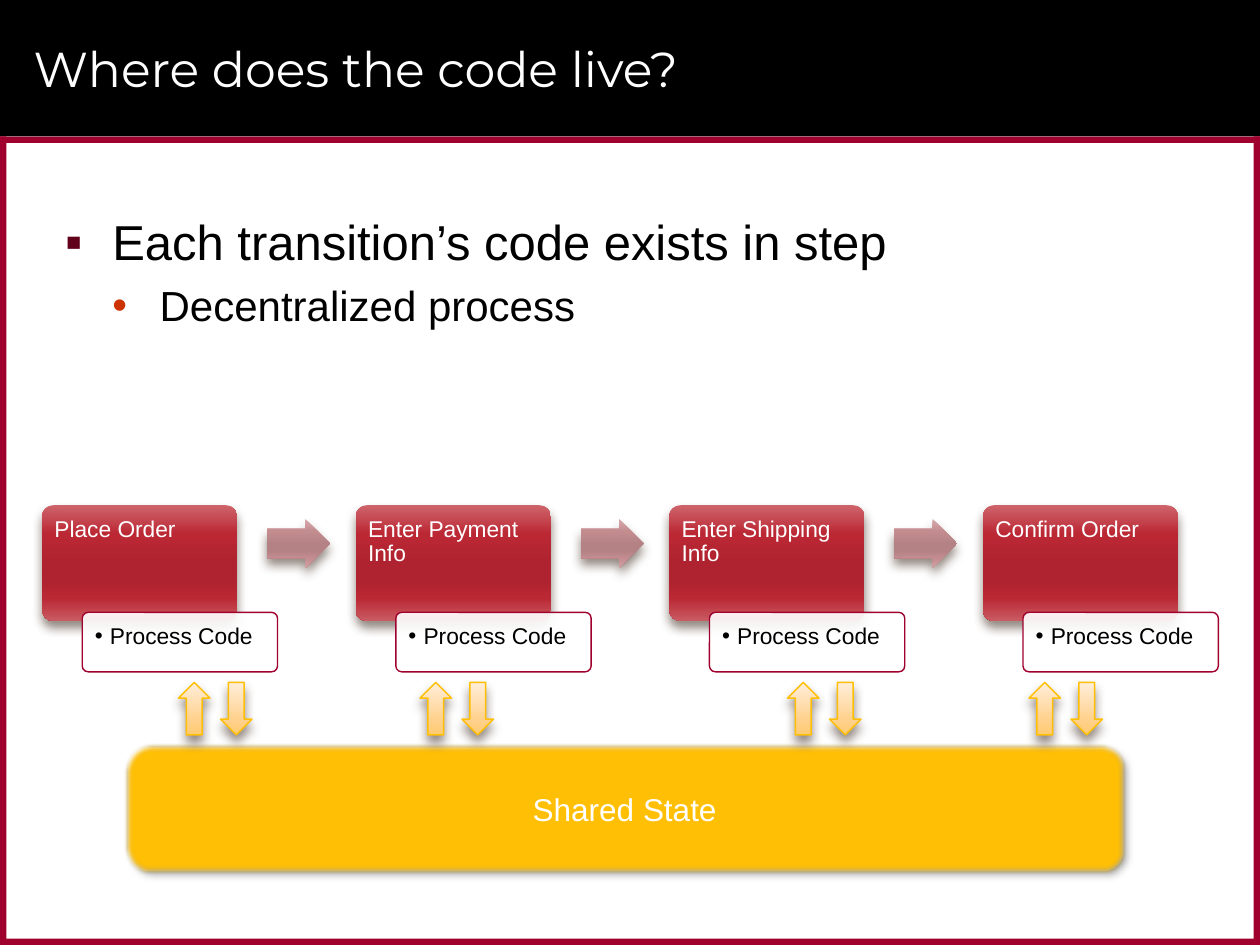
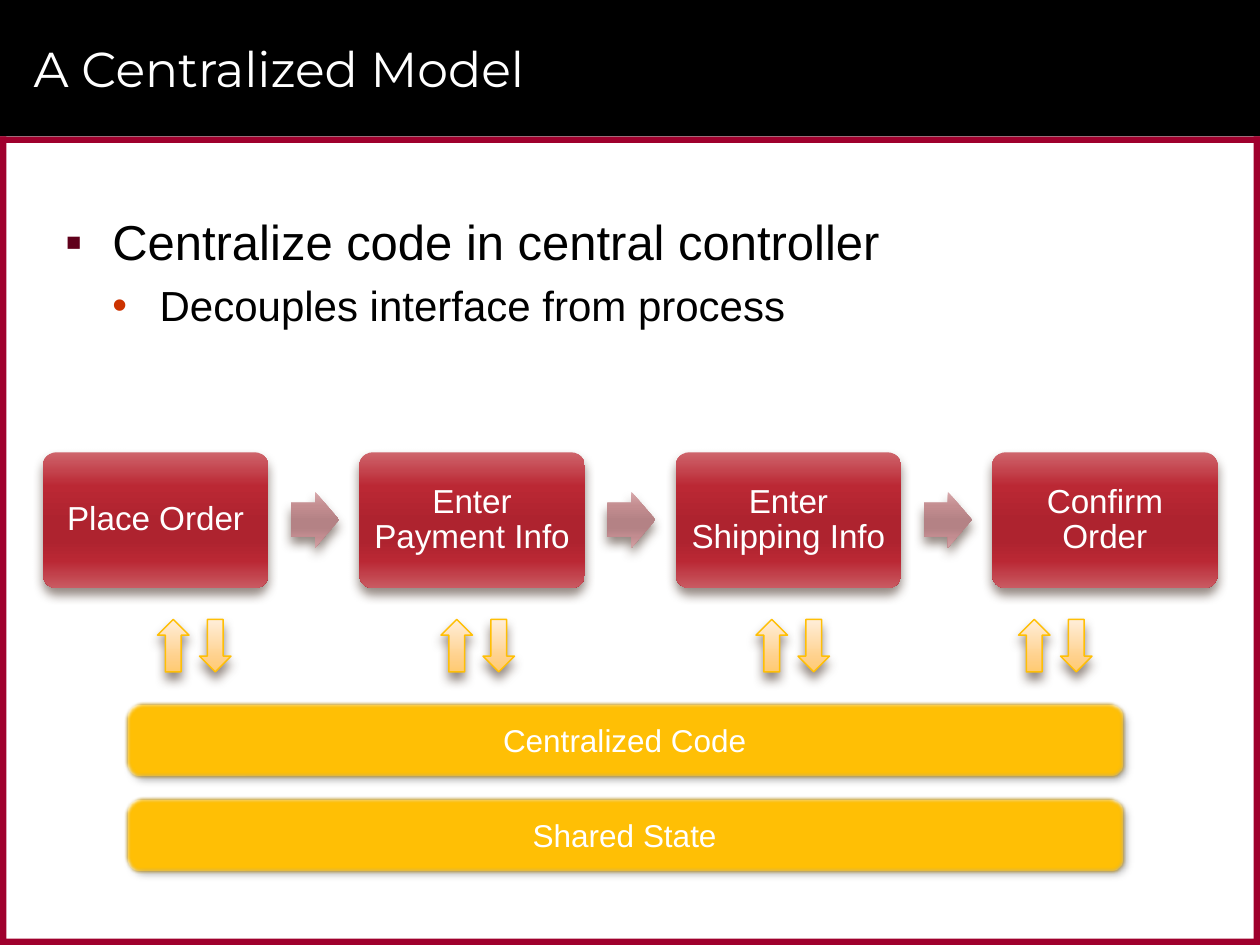
from lxml import etree
from pptx import Presentation
from pptx.dml.color import RGBColor
from pptx.enum import shapes, text
from pptx.oxml import ns
from pptx.util import Pt

BLACK = RGBColor(0x00, 0x00, 0x00)
WHITE = RGBColor(0xFF, 0xFF, 0xFF)
CRIMSON = RGBColor(0x9F, 0x00, 0x2D)
MAROON = RGBColor(0x60, 0x00, 0x1B)
ORANGE = RGBColor(0xCC, 0x33, 0x00)
AMBER = RGBColor(0xFF, 0xBF, 0x05)
DARK_AMBER = RGBColor(0xBD, 0x8D, 0x04)
BROWN = RGBColor(0x4E, 0x3B, 0x30)

# Gradients run from top to bottom: (percent, colour)
STEP_RED = [(0, RGBColor(0xCE, 0x64, 0x6B)), (25, RGBColor(0xBB, 0x28, 0x34)),
            (50, RGBColor(0xAE, 0x23, 0x2F)), (65, RGBColor(0xAE, 0x23, 0x2F)),
            (80, RGBColor(0xBA, 0x28, 0x34)), (100, RGBColor(0xC9, 0x5B, 0x63))]
ARROW_PINK = [(0, RGBColor(0xD9, 0xAA, 0xAD)), (25, RGBColor(0xC3, 0x8D, 0x90)),
              (50, RGBColor(0xB4, 0x82, 0x85)), (65, RGBColor(0xB4, 0x82, 0x85)),
              (80, RGBColor(0xC2, 0x8C, 0x90)), (100, RGBColor(0xD3, 0xA3, 0xA6))]
ARROW_CREAM = [(0, RGBColor(0xFF, 0xEE, 0xDA)), (72, RGBColor(0xFF, 0xD1, 0x8C)),
               (100, RGBColor(0xFF, 0xCA, 0x70))]

BODY_FONT = "Arial"
TITLE_FONT = "Montserrat"
SLIDE_WIDTH, SLIDE_HEIGHT = 720, 540
BAND_HEIGHT, EDGE = 78, 3.6
STEPS = ["Place Order", "Enter Payment Info", "Enter Shipping Info", "Confirm Order"]

SHAPE = shapes.MSO_SHAPE
ALIGN = text.PP_ALIGN
ANCHOR = text.MSO_ANCHOR


def sub_element(parent, tag, **attributes):
    element = etree.SubElement(parent, ns.qn(tag))
    for name, value in attributes.items():
        element.set(name, str(value))
    return element


def place(shape, left, top, width, height):
    shape.left, shape.top = Pt(left), Pt(top)
    shape.width, shape.height = Pt(width), Pt(height)


def set_bullet(paragraph, character, color, indent, hanging):
    properties = paragraph._p.get_or_add_pPr()
    properties.set("marL", str(Pt(indent)))
    properties.set("indent", str(-Pt(hanging)))
    sub_element(sub_element(properties, "a:buClr"), "a:srgbClr", val=color)
    sub_element(properties, "a:buFont", typeface=BODY_FONT)
    sub_element(properties, "a:buChar", char=character)


def write(paragraph, content, size, color=BLACK, font=BODY_FONT, align=ALIGN.LEFT,
          bullet=None, before=0, after=0, spacing=None):
    """Fill a paragraph; bullet is (character, color, indent, hanging)."""
    if bullet:
        set_bullet(paragraph, *bullet)
    paragraph.alignment = align
    paragraph.space_before, paragraph.space_after = Pt(before), Pt(after)
    paragraph.line_spacing = spacing
    run = paragraph.add_run()
    run.text = content
    run.font.size, run.font.name = Pt(size), font
    run.font.color.rgb = color


def set_gradient(shape, stops):
    shape.fill.gradient()
    shape.fill.gradient_angle = 270
    stop_list = shape._element.spPr.find(".//" + ns.qn("a:gsLst"))
    for stop in list(stop_list):
        stop_list.remove(stop)
    for percent, color in stops:
        stop = sub_element(stop_list, "a:gs", pos=percent * 1000)
        sub_element(stop, "a:srgbClr", val=color)


def add_shadow(shape, color=BROWN, opacity=60, blur=6, distance=4, angle=90, soft_edge=0):
    effects = shape._element.spPr.find(ns.qn("a:effectLst"))
    shadow = sub_element(effects, "a:outerShdw", blurRad=Pt(blur), dist=Pt(distance),
                         dir=angle * 60000, algn="ctr", rotWithShape=0)
    sub_element(sub_element(shadow, "a:srgbClr", val=color), "a:alpha", val=opacity * 1000)
    if soft_edge:
        sub_element(effects, "a:softEdge", rad=Pt(soft_edge))


def add_preset(slide, kind, left, top, width, height, fill, line=None, line_width=0.79,
               adjustments=()):
    """Add a shape without shadow; fill is a colour or a list of gradient stops."""
    shape = slide.shapes.add_shape(kind, Pt(left), Pt(top), Pt(width), Pt(height))
    shape.shadow.inherit = False
    for index, value in enumerate(adjustments):
        shape.adjustments[index] = value
    if isinstance(fill, list):
        set_gradient(shape, fill)
    else:
        shape.fill.solid()
        shape.fill.fore_color.rgb = fill
    if line is None:
        shape.line.fill.background()
    else:
        shape.line.color.rgb = line
        shape.line.width = Pt(line_width)
    return shape


def label(shape, content, size, inset, anchor, **text_format):
    frame = shape.text_frame
    frame.word_wrap = True
    frame.vertical_anchor = anchor
    frame.margin_left = frame.margin_right = Pt(inset)
    frame.margin_top = frame.margin_bottom = Pt(inset)
    write(frame.paragraphs[0], content, size, **text_format)


def prepare_layout(layout, slide):
    """Move the title band and frame, drawn on a slide, behind the layout's placeholders."""
    frame_height = SLIDE_HEIGHT - BAND_HEIGHT
    strips = [(0, 0, SLIDE_WIDTH, BAND_HEIGHT, BLACK),
              (0, BAND_HEIGHT, SLIDE_WIDTH, EDGE, CRIMSON),
              (0, SLIDE_HEIGHT - EDGE, SLIDE_WIDTH, EDGE, CRIMSON),
              (SLIDE_WIDTH - EDGE, BAND_HEIGHT, EDGE, frame_height, CRIMSON),
              (0, BAND_HEIGHT, EDGE, frame_height, CRIMSON)]
    for index, (left, top, width, height, color) in enumerate(strips):
        strip = add_preset(slide, SHAPE.RECTANGLE, left, top, width, height, color)
        layout.shapes._spTree.insert(2 + index, strip._element)
    title, body = layout.placeholders[0], layout.placeholders[1]
    place(title, 12, 6, 678, 66)
    place(body, 30, 117.5, 660, 404.5)


def fill_placeholders(slide, title, point, detail):
    title_frame = slide.shapes.title.text_frame
    title_frame.vertical_anchor = ANCHOR.MIDDLE
    write(title_frame.paragraphs[0], title, 28, color=WHITE, font=TITLE_FONT)
    body_frame = slide.placeholders[1].text_frame
    body_frame.auto_size = text.MSO_AUTO_SIZE.NONE
    write(body_frame.paragraphs[0], point, 28, bullet=("▪", MAROON, 27, 27), after=2)
    second = body_frame.add_paragraph()
    second.level = 1
    write(second, detail, 24, bullet=("•", ORANGE, 54, 27), before=3, after=3)


def add_step(slide, name, box, size, inset, anchor, align):
    step = add_preset(slide, SHAPE.ROUNDED_RECTANGLE, *box, STEP_RED, adjustments=[0.1])
    add_shadow(step)
    label(step, name, size, inset, anchor, color=WHITE, align=align, spacing=0.9)


def add_step_arrow(slide, *box):
    arrow = add_preset(slide, SHAPE.RIGHT_ARROW, *box, ARROW_PINK, adjustments=[0.6, 0.5])
    add_shadow(arrow)


def add_process_code(slide, left, top):
    box = add_preset(slide, SHAPE.ROUNDED_RECTANGLE, left, top, 111.6, 34, WHITE,
                     line=CRIMSON, adjustments=[0.1])
    color = box._element.spPr.find(ns.qn("a:solidFill"))[0]
    sub_element(color, "a:alpha", val=90000)
    label(box, "Process Code", 13, 6.2, ANCHOR.TOP, spacing=0.9,
          bullet=("•", BLACK, 8.64, 8.64))


def add_exchange_arrows(slide, lefts, top):
    """Add an up and a down arrow at each left position."""
    for left in lefts:
        for offset, kind in ((0, SHAPE.UP_ARROW), (24, SHAPE.DOWN_ARROW)):
            arrow = add_preset(slide, kind, left + offset, top, 18, 30, ARROW_CREAM, line=AMBER)
            add_shadow(arrow)


def add_bar(slide, name, top, height):
    bar = add_preset(slide, SHAPE.ROUNDED_RECTANGLE, 72, top, 570, height, AMBER,
                     line=DARK_AMBER, line_width=2)
    add_shadow(bar, BLACK, opacity=40, blur=4, distance=3, angle=45, soft_edge=2.5)
    label(bar, name, 18, 3.6, ANCHOR.MIDDLE, color=WHITE, align=ALIGN.CENTER)


def build_decentralized(slide):
    fill_placeholders(slide, "Where does the code live?",
                      "Each transition’s code exists in step", "Decentralized process")
    for index, name in enumerate(STEPS):
        left = 24 + index * 179.2
        add_step(slide, name, (left, 288.7, 111.6, 66.2), 13, 5.2, ANCHOR.TOP, ALIGN.LEFT)
        add_process_code(slide, left + 23, 349.9)
        if index < len(STEPS) - 1:
            add_step_arrow(slide, left + 128.6, 296.6, 36, 28)
    add_bar(slide, "Shared State", 426, 72)
    add_exchange_arrows(slide, (102, 240, 450, 588), 390)


def build_centralized(slide):
    fill_placeholders(slide, "A Centralized Model",
                      "Centralize code in central controller", "Decouples interface from process")
    for index, name in enumerate(STEPS):
        left = 24.5 + index * 180.8
        add_step(slide, name, (left, 258.5, 128.9, 77.6), 19, 3.5, ANCHOR.MIDDLE, ALIGN.CENTER)
        if index < len(STEPS) - 1:
            add_step_arrow(slide, left + 141.8, 281, 27.4, 32)
    add_bar(slide, "Centralized Code", 402, 42)
    add_bar(slide, "Shared State", 456, 42)
    add_exchange_arrows(slide, (90, 252, 432, 582), 354)


def main():
    presentation = Presentation()
    presentation.slide_width, presentation.slide_height = Pt(SLIDE_WIDTH), Pt(SLIDE_HEIGHT)
    layout = presentation.slide_layouts[1]
    first = presentation.slides.add_slide(layout)
    prepare_layout(layout, first)
    build_decentralized(first)
    build_centralized(presentation.slides.add_slide(layout))
    presentation.save("out.pptx")


if __name__ == "__main__":
    main()
